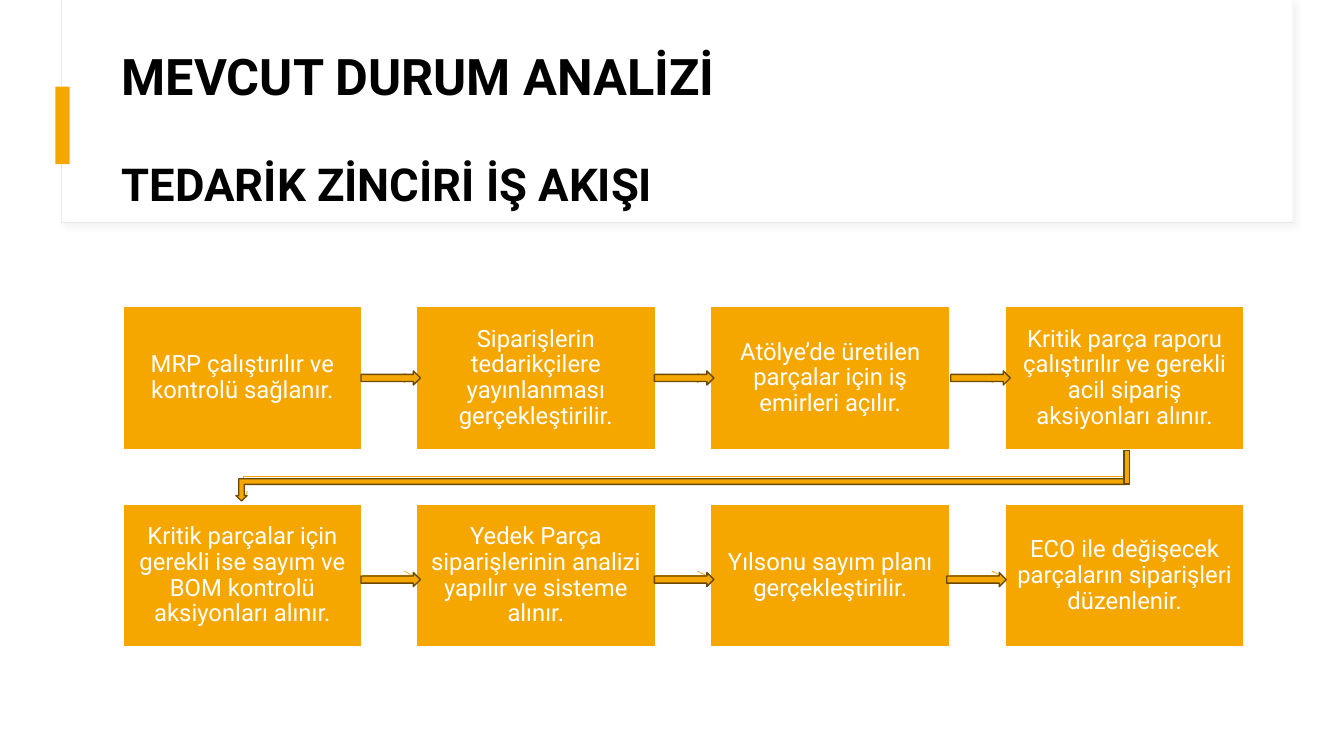
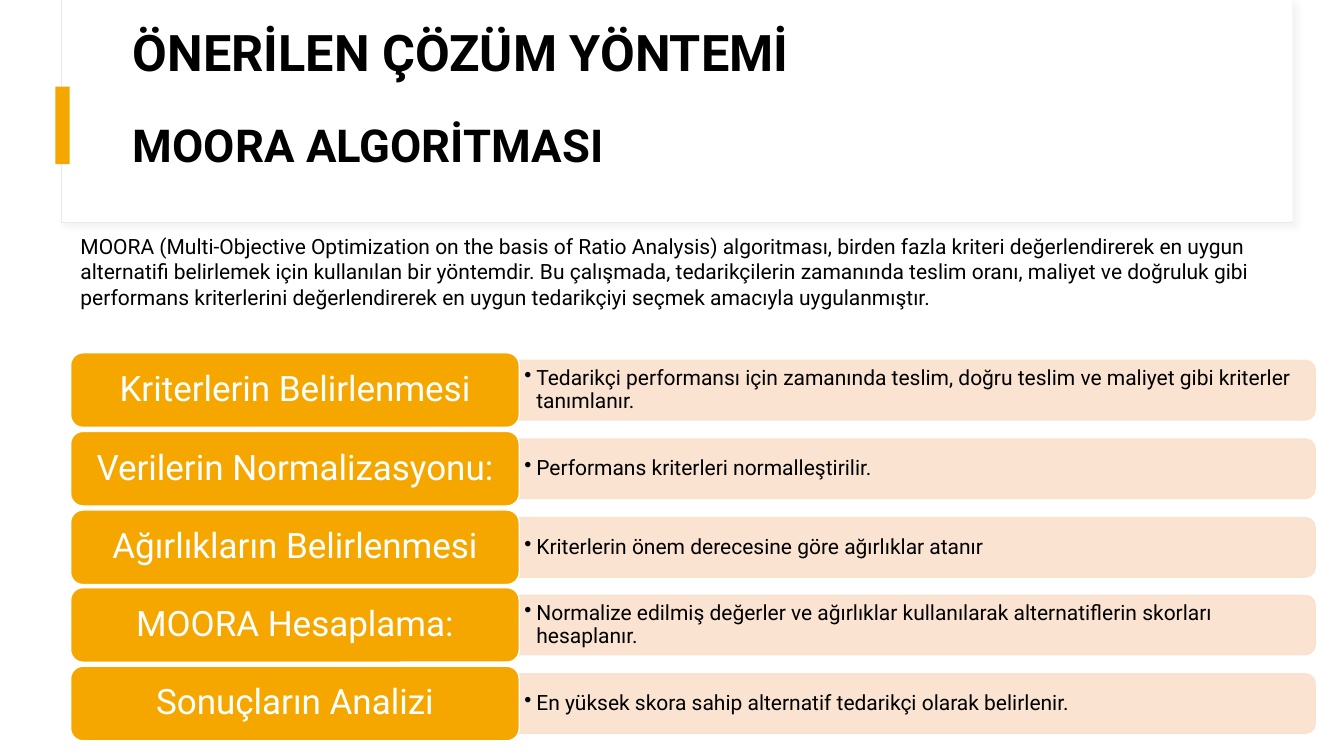
import pptx
import pptx.util
import pptx.dml.color
import pptx.enum.shapes
import pptx.enum.text
import pptx.oxml.ns
from lxml import etree

SCALE = 9144
FONT = "Roboto"
RGB = pptx.dml.color.RGBColor
AMBER = RGB(0xF5, 0xA7, 0x00)
BROWN = RGB(0x6B, 0x49, 0x00)
PEACH = RGB(0xFB, 0xE1, 0xCC)
WHITE = RGB(0xFF, 0xFF, 0xFF)
BLACK = RGB(0x00, 0x00, 0x00)
EDGE = RGB(0xE9, 0xE9, 0xE9)
KIND = pptx.enum.shapes.MSO_SHAPE
ALIGN = pptx.enum.text.PP_ALIGN
ANCHOR = pptx.enum.text.MSO_ANCHOR
Pt = pptx.util.Pt
qn = pptx.oxml.ns.qn

STEPS = [
    ["MRP çalıştırılır ve kontrolü sağlanır.",
     "Siparişlerin tedarikçilere yayınlanması gerçekleştirilir.",
     "Atölye’de üretilen parçalar için iş emirleri açılır.",
     "Kritik parça raporu çalıştırılır ve gerekli acil sipariş aksiyonları alınır."],
    ["Kritik parçalar için gerekli ise sayım ve BOM kontrolü aksiyonları alınır.",
     "Yedek Parça siparişlerinin analizi yapılır ve sisteme alınır.",
     "Yılsonu sayım planı gerçekleştirilir.",
     "ECO ile değişecek parçaların siparişleri düzenlenir."],
]
STAGES = [
    ("Kriterlerin Belirlenmesi",
     "Tedarikçi performansı için zamanında teslim, doğru teslim ve maliyet gibi kriterler tanımlanır."),
    ("Verilerin Normalizasyonu:", "Performans kriterleri normalleştirilir."),
    ("Ağırlıkların Belirlenmesi", "Kriterlerin önem derecesine göre ağırlıklar atanır"),
    ("MOORA Hesaplama:",
     "Normalize edilmiş değerler ve ağırlıklar kullanılarak alternatiflerin skorları hesaplanır."),
    ("Sonuçların Analizi",
     "En yüksek skora sahip alternatif tedarikçi olarak belirlenir."),
]
INTRO = (
    "MOORA (Multi-Objective Optimization on the basis of Ratio Analysis) algoritması, "
    "birden fazla kriteri değerlendirerek en uygun alternatifi belirlemek için kullanılan "
    "bir yöntemdir. Bu çalışmada, tedarikçilerin zamanında teslim oranı, maliyet ve "
    "doğruluk gibi performans kriterlerini değerlendirerek en uygun tedarikçiyi seçmek "
    "amacıyla uygulanmıştır."
)


def px(*nums):
    return [n * SCALE for n in nums]


def write(frame, text, size=15, color=BLACK, bold=False, align=ALIGN.LEFT,
          anchor=ANCHOR.MIDDLE, pad=(10, 5), lead=0.9, gap=0, bullet=False, more=False):
    frame.word_wrap = True
    frame.vertical_anchor = anchor
    frame.margin_left = frame.margin_right = pad[0] * SCALE
    frame.margin_top = frame.margin_bottom = pad[1] * SCALE
    para = frame.add_paragraph() if more else frame.paragraphs[0]
    para.alignment = align
    para.line_spacing = lead
    if gap:
        para.space_before = Pt(gap)
    if bullet:
        props = para._p.get_or_add_pPr()
        props.set("marL", str(12 * SCALE))
        props.set("indent", str(-12 * SCALE))
        etree.SubElement(props, qn("a:buChar"), char="•")
    run = para.add_run()
    run.text = text
    run.font.name = FONT
    run.font.size = Pt(size)
    run.font.bold = bold
    run.font.color.rgb = color


class Deck:
    def __init__(self):
        self.prs = pptx.Presentation()
        self.prs.slide_width, self.prs.slide_height = px(1333, 750)
        self.slide = None

    def page(self, head, sub, left, top, gap):
        self.slide = self.prs.slides.add_slide(self.prs.slide_layouts[6])
        card = self.shape(KIND.RECTANGLE, (61, 0, 1221, 221), WHITE, EDGE, 0.75)
        self.shade(card)
        self.shape(KIND.RECTANGLE, (62, 0, 1220, 220), WHITE)
        self.shape(KIND.RECTANGLE, (55, 86, 14, 77), AMBER)
        frame = self.text((left, top, 1112, 165), head, size=36, bold=True,
                          anchor=ANCHOR.TOP)
        write(frame, sub, size=32.4, bold=True, anchor=ANCHOR.TOP, gap=gap, more=True)

    def shape(self, kind, area, fill, line=None, width=1, turn=0, alpha=None):
        item = self.slide.shapes.add_shape(kind, *px(*area))
        item.shadow.inherit = False
        item.rotation = turn
        item.fill.solid()
        item.fill.fore_color.rgb = fill
        if line is None:
            item.line.fill.background()
        else:
            item.line.color.rgb = line
            item.line.width = Pt(width)
        if alpha:
            for tint in item.element.spPr.iter(qn("a:srgbClr")):
                etree.SubElement(tint, qn("a:alpha"), val=str(alpha * 1000))
        return item

    def shade(self, item):
        glow = etree.SubElement(
            item.element.spPr.find(qn("a:effectLst")), qn("a:outerShdw"),
            blurRad=str(Pt(4)), dist=str(Pt(3)), dir=str(45 * 60000), rotWithShape="0")
        tint = etree.SubElement(glow, qn("a:srgbClr"), val="D9D9D9")
        etree.SubElement(tint, qn("a:alpha"), val="30000")

    def text(self, area, text, **look):
        frame = self.slide.shapes.add_textbox(*px(*area)).text_frame
        write(frame, text, **look)
        return frame

    def point(self, item):
        item.line.color.rgb = AMBER
        item.line.width = Pt(0.5)
        etree.SubElement(item.element.spPr.find(qn("a:ln")), qn("a:tailEnd"), type="arrow")

    def link(self, start, end):
        item = self.slide.shapes.add_connector(
            pptx.enum.shapes.MSO_CONNECTOR.STRAIGHT, *px(*start, *end))
        self.point(item)
        etree.SubElement(item.element.spPr, qn("a:effectLst"))

    def route(self, first, *rest):
        maker = self.slide.shapes.build_freeform(*first, scale=SCALE)
        maker.add_line_segments(rest, close=False)
        item = maker.convert_to_shape()
        item.shadow.inherit = False
        item.fill.background()
        self.point(item)

    def arrow(self, kind, area, turn=0):
        self.shape(kind, area, AMBER, BROWN, turn=turn)


def flow(deck):
    deck.page("MEVCUT DURUM ANALİZİ", "TEDARİK ZİNCİRİ İŞ AKIŞI", 111, 47, 40)
    wide, high = 237, 142
    for row, steps in enumerate(STEPS):
        top = 304 + 196 * row
        for col, step in enumerate(steps):
            left = 122 + col * 875 // 3
            if col < 3:
                mid = top + high // 2
                deck.link((left + wide, mid), (left + wide + 51, mid))
            box = deck.shape(KIND.RECTANGLE, (left, top, wide, high), AMBER, WHITE)
            write(box.text_frame, step, size=17, color=WHITE, align=ALIGN.CENTER,
                  pad=(12, 12))
    deck.route((1115, 446), (1115, 473), (241, 473), (241, 497))
    for top, lefts in ((368, (358, 649, 943)), (568, (358, 649, 939))):
        for left in lefts:
            deck.arrow(KIND.RIGHT_ARROW, (left, top, 59, 14))
    deck.arrow(KIND.BENT_UP_ARROW, (234, 475, 883, 22), 180)
    deck.arrow(KIND.MATH_MINUS, (1095, 452, 45, 23), 270)


def method(deck):
    deck.page("ÖNERİLEN ÇÖZÜM YÖNTEMİ", "MOORA ALGORİTMASI", 122, 23, 29)
    for row, (name, note) in enumerate(STAGES):
        top = 350 + round(77.75 * row)
        deck.shape(KIND.ROUND_2_SAME_RECTANGLE, (880, top - 358, 59, 790),
                   PEACH, PEACH, turn=90, alpha=90)
        deck.text((514, top + 11, 787, 53), note, pad=(6, 3), bullet=True)
        label = deck.shape(KIND.ROUNDED_RECTANGLE, (70, top, 445, 74), AMBER, WHITE)
        write(label.text_frame, name, size=25, color=WHITE, align=ALIGN.CENTER)
    deck.text((70, 227, 1210, 86), INTRO, anchor=ANCHOR.TOP, lead=1.0)


def main():
    deck = Deck()
    flow(deck)
    method(deck)
    deck.prs.save("out.pptx")


if __name__ == "__main__":
    main()
